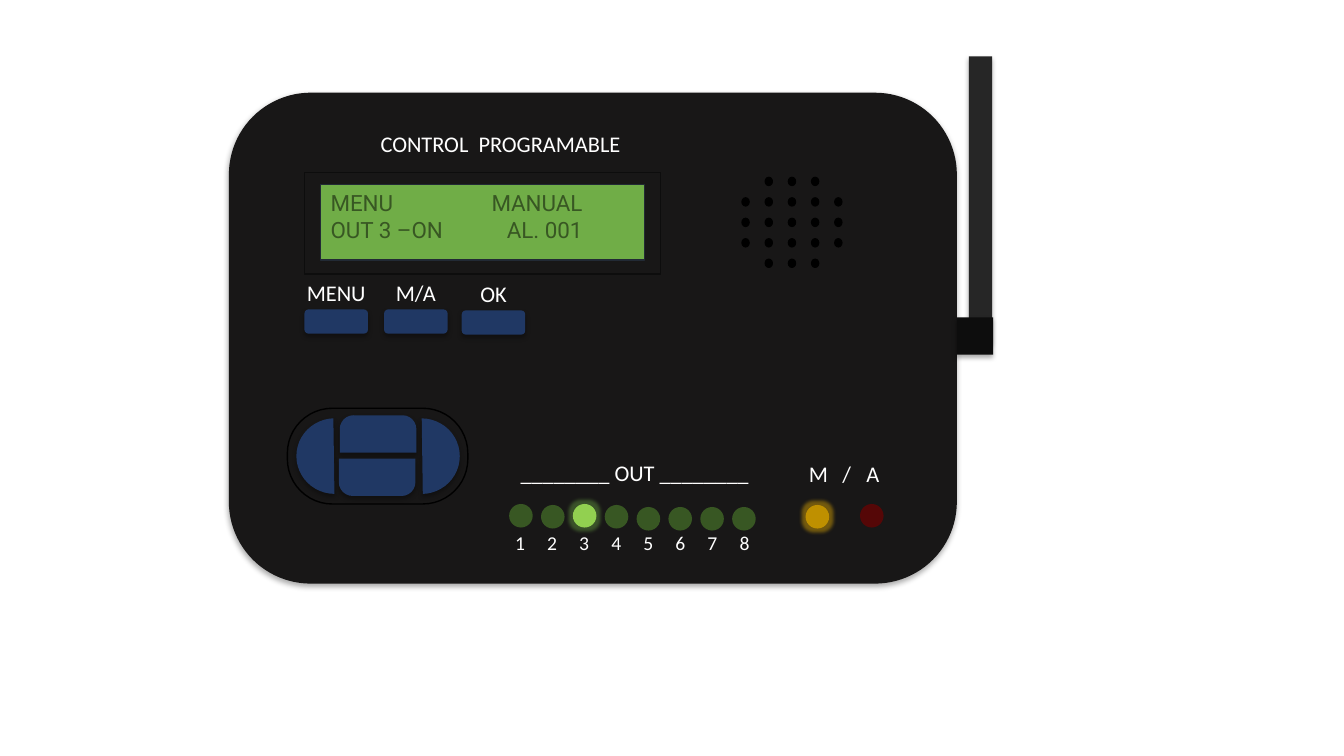
from lxml import etree
from pptx import Presentation
from pptx.dml.color import RGBColor
from pptx.enum.shapes import MSO_SHAPE as SHAPE
from pptx.enum.text import MSO_AUTO_SIZE as AUTO, PP_ALIGN as ALIGN
from pptx.oxml.ns import qn
from pptx.util import Emu, Inches, Pt

BLACK, WHITE, BODY, NAVY = "000000", "FFFFFF", "181717", "203864"
LCD, DARK_GREEN, LIT_GREEN = "70AD47", "385723", "92D050"
AMBER, RED, NEAR_BLACK = "BF9000", "550707", "0D0D0D"


def rgb(code):
    return RGBColor.from_string(code)


def write(p, text, size=16, font="Calibri", color=WHITE, align=ALIGN.LEFT, tabs=()):
    """Fill a paragraph; tabs is a list of (alignment, distance in inches)."""
    p.alignment = align
    if tabs:
        tab_list = etree.SubElement(p._p.get_or_add_pPr(), qn("a:tabLst"))
        for kind, pos in tabs:
            etree.SubElement(tab_list, qn("a:tab"), pos=str(Inches(pos)), algn=kind)
    r = p.add_run()
    r.text = text
    r.font.size, r.font.name = Pt(size), font
    r.font.color.rgb = rgb(color)


class Panel:
    """A slide on a grid whose columns and rows are a tenth of an inch."""

    def __init__(self, prs):
        self.s = prs.slides.add_slide(prs.slide_layouts[6])
        self.cell = Inches(0.1)

    def grid(self, *units):
        return [Emu(round(u * self.cell)) for u in units]

    def effect(self, sp, kind, color, alpha, **attrs):
        effects = sp._element.spPr.find(qn("a:effectLst"))
        el = etree.SubElement(effects, qn("a:" + kind), **attrs)
        clr = etree.SubElement(el, qn("a:srgbClr"), val=color)
        etree.SubElement(clr, qn("a:alpha"), val=str(alpha * 1000))

    def shape(self, kind, x, y, w, h, fill=None, line=None, adj=(), turn=0,
              raised=False, glow=None):
        sp = self.s.shapes.add_shape(kind, *self.grid(x, y, w, h))
        sp.shadow.inherit = False
        sp.rotation = turn
        for i, value in enumerate(adj):
            sp.adjustments[i] = value
        if fill:
            sp.fill.solid()
            sp.fill.fore_color.rgb = rgb(fill)
        else:
            sp.fill.background()
        if line:
            sp.line.color.rgb = rgb(line)
            sp.line.width = Pt(1)
        else:
            sp.line.fill.background()
        if raised:
            self.effect(sp, "outerShdw", BLACK, 32, blurRad=str(Pt(3.5)),
                        dist=str(Pt(2.2)), dir="5400000", rotWithShape="0")
        if glow:
            self.effect(sp, "glow", glow, 40, rad=str(Pt(5)))

    def led(self, x, y, color, glow=None):
        self.shape(SHAPE.OVAL, x, y, 2.34, 2.34, color, glow=glow)

    def key(self, kind, x, y, w, h, **look):
        self.shape(kind, x, y, w, h, NAVY, raised=True, **look)

    def label(self, x, y, w, h, *lines, **style):
        tf = self.s.shapes.add_textbox(*self.grid(x, y, w, h)).text_frame
        tf.word_wrap = True
        tf.auto_size = AUTO.SHAPE_TO_FIT_TEXT
        for i, line in enumerate(lines):
            p = tf.add_paragraph() if i else tf.paragraphs[0]
            write(p, line, **style)


def main():
    prs = Presentation()
    prs.slide_width, prs.slide_height = Inches(13.33), Inches(7.5)
    panel = Panel(prs)

    # Housing and title
    panel.shape(SHAPE.ROUNDED_RECTANGLE, 22.7, 9.2, 72.2, 48.7, BODY, raised=True)
    panel.label(35.8, 12.4, 27.7, 3.7, "CONTROL  PROGRAMABLE", align=ALIGN.CENTER)

    # Display
    panel.shape(SHAPE.RECTANGLE, 31.8, 18.3, 32.1, 7.5, LCD, line="222A35")
    panel.shape(SHAPE.RECTANGLE, 30.2, 17.1, 35.3, 10.1, line=NEAR_BLACK)
    panel.label(31.8, 18.3, 32.1, 6.4, "MENU\tMANUAL", "OUT 3 –ON\tAL. 001",
                font="Roboto", color=DARK_GREEN, tabs=[("r", 2.5)])

    # Loudspeaker: five by five holes without the corners
    for row in range(5):
        for col in range(5):
            if row in (0, 4) and col in (0, 4):
                continue
            panel.shape(SHAPE.OVAL, 73.6 + 2.3 * col, 17.6 + 2.03 * row, 0.7, 0.8,
                        BLACK, line=BLACK)

    # Output lamps, the third one lit
    for i, top in enumerate([50, 50.1, 50, 50.1] + [50.3] * 4):
        lit = i == 2
        panel.led(50.5 + 3.16 * i, top, LIT_GREEN if lit else DARK_GREEN,
                  glow=LCD if lit else None)
    panel.label(43.3, 45.1, 39.3, 3.7, "________ OUT ________", align=ALIGN.CENTER)
    panel.label(43.1, 52.2, 39.3, 3.4, "".join(f"\t{n}" for n in range(1, 9)),
                size=14, tabs=[("ctr", 0.75 + 0.318 * i) for i in range(8)])

    # Manual and automatic lamps
    panel.led(79.9, 50.1, AMBER, glow="FFC000")
    panel.led(85.3, 50, RED)
    panel.label(64.1, 45.2, 39.3, 3.7, "\tM\t/\tA",
                tabs=[("ctr", pos) for pos in (1.61, 1.89, 2.15)])

    # Antenna
    panel.shape(SHAPE.RECTANGLE, 96.1, 5.6, 2.3, 28.4, "262626", raised=True)
    panel.shape(SHAPE.RECTANGLE, 94.9, 31.5, 3.6, 3.7, NEAR_BLACK, raised=True)

    # Function keys
    for name, x, y in [("MENU", 30.2, 30.7), ("M/A", 38.1, 30.7), ("OK", 45.8, 30.8)]:
        panel.key(SHAPE.ROUNDED_RECTANGLE, x, y, 6.3, 2.4)
        panel.label(x - 1, y - 3.5, 8.3, 3.7, name, align=ALIGN.CENTER)

    # Direction pad
    for x, turn in [(38, 180), (29.4, 0)]:
        panel.key(SHAPE.CHORD, x, 41.5, 7.6, 7.5, adj=(54.23, 160.8), turn=turn)
    for x, y, turn in [(33.7, 41.2, 0), (33.6, 45.5, 180)]:
        panel.key(SHAPE.ROUND_2_SAME_RECTANGLE, x, y, 7.6, 3.7, adj=(0.37, 0), turn=turn)
    panel.shape(SHAPE.ROUNDED_RECTANGLE, 28.5, 40.5, 17.9, 9.5, line=BLACK, adj=(0.47,))

    prs.save("out.pptx")


if __name__ == "__main__":
    main()
